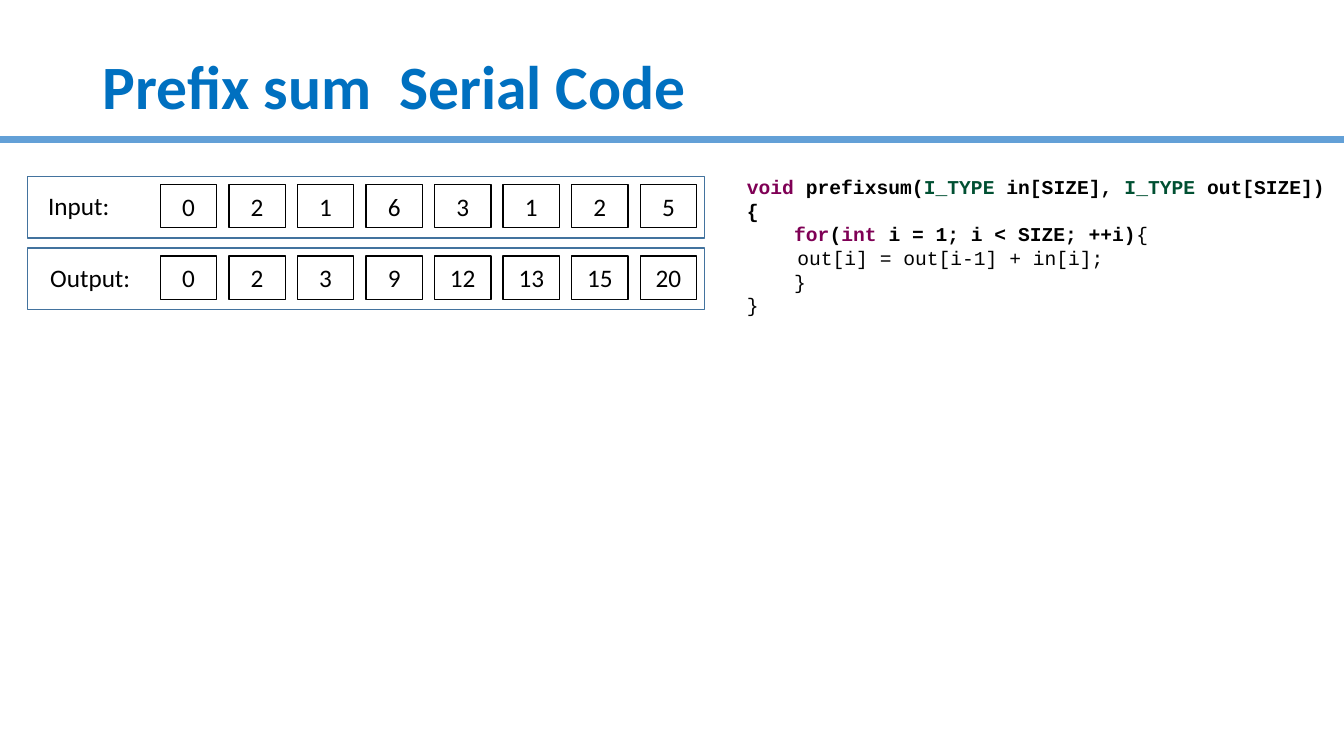
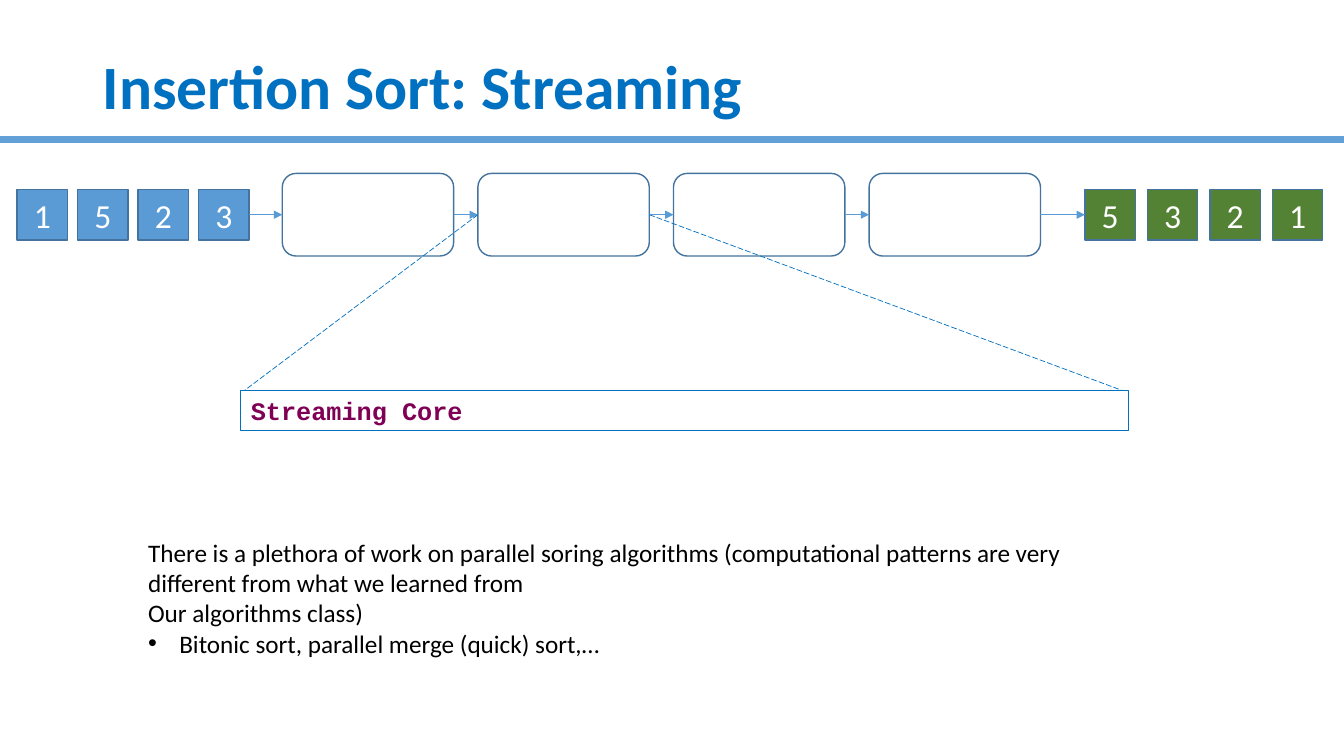
from lxml.etree import SubElement
from pptx import Presentation
from pptx.dml.color import RGBColor
from pptx.enum.dml import MSO_LINE
from pptx.enum.shapes import MSO_CONNECTOR, MSO_SHAPE as SHAPE
from pptx.enum.text import MSO_ANCHOR as ANCHOR, PP_ALIGN as ALIGN
from pptx.oxml.ns import qn
from pptx.util import Pt

# Colours
BLACK = RGBColor(0x00, 0x00, 0x00)
WHITE = RGBColor(0xFF, 0xFF, 0xFF)
TITLE_BLUE = RGBColor(0x00, 0x70, 0xC0)
BAND_BLUE = RGBColor(0x63, 0xA0, 0xD7)
TILE_BLUE = RGBColor(0x5B, 0x9B, 0xD5)
EDGE_BLUE = RGBColor(0x43, 0x73, 0x9E)
TILE_GREEN = RGBColor(0x54, 0x82, 0x35)
KEYWORD = RGBColor(0x7F, 0x00, 0x55)
TYPE_NAME = RGBColor(0x00, 0x50, 0x32)

# One px is a hundredth of an inch
SCALE = 9144
WIDTH, HEIGHT = 1333, 750
LEFT, RIGHT = 1, 3  # connection sites


def px(*lengths):
    return [length * SCALE for length in lengths]


class Deck:
    """Holds the style and the slide being drawn."""

    body_font = "Calibri"
    code_font = "Courier New"

    def __init__(self):
        self.prs = Presentation()
        self.prs.slide_width, self.prs.slide_height = px(WIDTH, HEIGHT)
        self.slide = None

    def style(self, run, size, color=BLACK, bold=False, font=None):
        run.font.name = font or self.body_font
        run.font.size = Pt(size)
        run.font.bold = bold
        run.font.color.rgb = color

    def new_slide(self, title):
        self.slide = self.prs.slides.add_slide(self.prs.slide_layouts[6])
        self.line((WIDTH, 138), (0, 138), BAND_BLUE, 5)
        heading = self.text((92, 40, 1150, 98), [title], 44, TITLE_BLUE, bold=True)
        heading.vertical_anchor = ANCHOR.MIDDLE
        heading.paragraphs[0].line_spacing = 0.9

    def text(self, box, lines, size, color=BLACK, bold=False, wrap=True):
        frame = self.slide.shapes.add_textbox(*px(*box)).text_frame
        frame.word_wrap = wrap
        frame.text = "\n".join(lines)
        for paragraph in frame.paragraphs:
            for run in paragraph.runs:
                self.style(run, size, color, bold)
        return frame

    def bullet(self, paragraph, indent):
        props = paragraph._p.get_or_add_pPr()
        props.set("marL", str(indent * SCALE))
        props.set("indent", str(-indent * SCALE))
        SubElement(props, qn("a:buFont")).set("typeface", "Arial")
        SubElement(props, qn("a:buChar")).set("char", "•")

    def code(self, box, lines, size):
        """Each line is a list of (text, colour, bold) pieces."""
        frame = self.slide.shapes.add_textbox(*px(*box)).text_frame
        frame.word_wrap = True
        for number, pieces in enumerate(lines):
            paragraph = frame.add_paragraph() if number else frame.paragraphs[0]
            for words, color, bold in pieces:
                run = paragraph.add_run()
                run.text = words
                self.style(run, size, color, bold, self.code_font)

    def box(self, place, edge, fill=None, kind=SHAPE.RECTANGLE, weight=1):
        shape = self.slide.shapes.add_shape(kind, *px(*place))
        shape.shadow.inherit = False
        if fill is None:
            shape.fill.background()
        else:
            shape.fill.solid()
            shape.fill.fore_color.rgb = fill
        shape.line.color.rgb = edge
        shape.line.width = Pt(weight)
        return shape

    def label(self, shape, words, size, color, align=ALIGN.CENTER, **look):
        frame = shape.text_frame
        frame.text = words
        frame.vertical_anchor = ANCHOR.MIDDLE
        frame.paragraphs[0].alignment = align
        self.style(frame.paragraphs[0].runs[0], size, color, **look)

    def tiles(self, values, first, pitch, size, edge, fill, color, text_size):
        """A row of equal number boxes at a fixed pitch."""
        left, top = first
        row = []
        for place, value in enumerate(values):
            tile = self.box((left + place * pitch, top, *size), edge, fill)
            self.label(tile, str(value), text_size, color)
            row.append(tile)
        return row

    def line(self, start, end, color, weight):
        connector = self.slide.shapes.add_connector(
            MSO_CONNECTOR.STRAIGHT, *px(*start, *end))
        connector.line.color.rgb = color
        connector.line.width = Pt(weight)
        SubElement(connector._element.spPr, qn("a:effectLst"))
        return connector

    def arrow(self, source, target):
        connector = self.line((0, 0), (0, 0), TILE_BLUE, 0.5)
        connector.begin_connect(source, RIGHT)
        connector.end_connect(target, LEFT)
        SubElement(connector.line._get_or_add_ln(), qn("a:tailEnd")).set("type", "triangle")

    def zoom_line(self, source, side, end):
        connector = self.line((0, 0), end, TITLE_BLUE, 0.5)
        connector.begin_connect(source, side)
        connector.line.dash_style = MSO_LINE.LONG_DASH


def prefix_sum(deck):
    deck.new_slide("Prefix sum  Serial Code")

    # Serial code
    deck.code((731, 169, 602, 151), [
        [("void ", KEYWORD, True), ("prefixsum(", BLACK, True),
         ("I_TYPE", TYPE_NAME, True), (" in[SIZE], ", BLACK, True),
         ("I_TYPE", TYPE_NAME, True), (" out[SIZE]){", BLACK, True)],
        [("    for", KEYWORD, True), ("(", BLACK, True), ("int", KEYWORD, True),
         (" i = 1; i < SIZE; ++i)", BLACK, True), ("{", BLACK, False)],
        [("\tout[i] = out[i-1] + in[i];", BLACK, False)],
        [("    }", BLACK, False)],
        [("}", BLACK, False)],
    ], 14)

    # Input and output arrays
    arrays = [
        ("Input:", 38, 175, [0, 2, 1, 6, 3, 1, 2, 5]),
        ("Output:", 40, 246, [0, 2, 3, 9, 12, 13, 15, 20]),
    ]
    for name, name_left, top, values in arrays:
        deck.box((27, top, 672, 61), EDGE_BLUE)
        deck.tiles(values, (159, top + 8), 68, (56, 43), BLACK, None, BLACK, 18)
        deck.text((name_left, top + 9, 100, 40), [name], 18, wrap=False)


def insertion_sort(deck):
    deck.new_slide("Insertion Sort: Streaming")

    # Stream through the sorting cores
    tile_size = (50, 50)
    unsorted = deck.tiles([1, 5, 2, 3], (17, 188), 60, tile_size,
                          EDGE_BLUE, TILE_BLUE, WHITE, 24)
    cores = [deck.box((280 + 194 * place, 172, 170, 82), EDGE_BLUE, WHITE,
                      SHAPE.ROUNDED_RECTANGLE) for place in range(4)]
    ordered = deck.tiles([5, 3, 2, 1], (1076, 188), 62, tile_size,
                         EDGE_BLUE, TILE_GREEN, WHITE, 24)
    stations = [unsorted[-1], *cores, ordered[0]]
    for source, target in zip(stations, stations[1:]):
        deck.arrow(source, target)

    # Zoom into one core
    core_detail = deck.box((239, 387, 880, 40), TITLE_BLUE, weight=0.75)
    deck.label(core_detail, "Streaming Core", 18, KEYWORD, ALIGN.LEFT,
               bold=True, font=deck.code_font)
    deck.zoom_line(cores[1], LEFT, (243, 387))
    deck.zoom_line(cores[1], RIGHT, (1112, 387))

    # Remarks
    remarks = deck.text((137, 528, 1015, 162), [
        "There is a plethora of work on parallel soring algorithms (computational "
        "patterns are very different from what we learned from",
        "Our algorithms class)",
        "Bitonic sort, parallel merge (quick) sort,…",
    ], 18)
    deck.bullet(remarks.paragraphs[-1], 31)


def main():
    deck = Deck()
    prefix_sum(deck)
    insertion_sort(deck)
    deck.prs.save("out.pptx")


if __name__ == "__main__":
    main()
